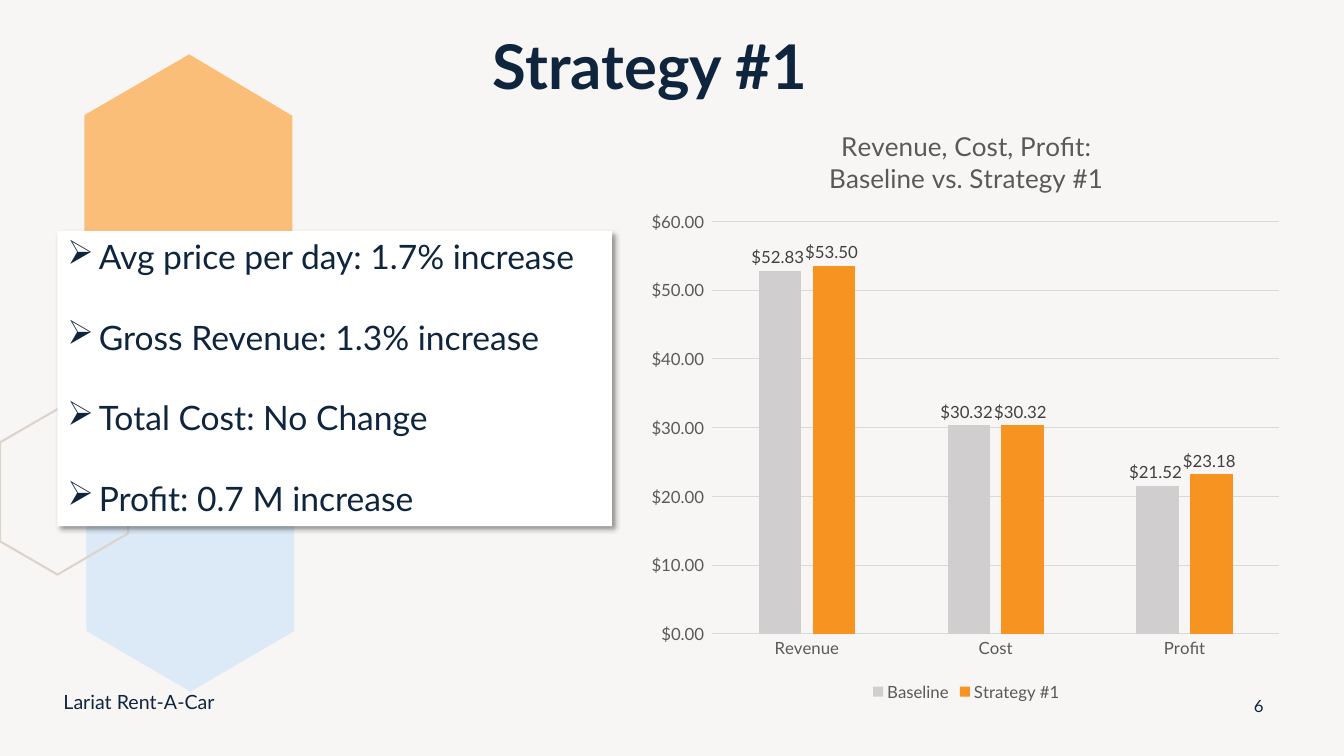
from dataclasses import dataclass

import lxml.etree
import pptx
import pptx.chart.data
import pptx.dml.color
import pptx.enum.chart
import pptx.enum.shapes
import pptx.enum.text
import pptx.oxml
import pptx.oxml.ns
import pptx.util
from pptx.util import Cm

ANCHOR = pptx.enum.text.MSO_ANCHOR
ALIGN = pptx.enum.text.PP_ALIGN
PRICE_FORMAT = '"$"#,##0.00_);[Red]\\("$"#,##0.00\\)'


@dataclass(frozen=True)
class Theme:
    font: str = "Lato"
    background: str = "F8F6F5"
    navy: str = "0F253E"
    white: str = "FFFFFF"
    peach: str = "FABE79"
    pale_blue: str = "DCE9F7"
    sand: str = "DCD3CC"
    gray_bar: str = "D0CECE"
    orange_bar: str = "F79320"
    chart_text: str = "595959"
    label_text: str = "404040"
    grid: str = "D9D9D9"
    title_size: float = 44
    body_size: float = 24
    chart_title_size: float = 18.6
    footer_size: float = 14
    small_size: float = 12


@dataclass(frozen=True)
class Hexagon:
    left: float
    top: float
    corners: tuple[tuple[float, float], ...]
    fill: str | None = None
    line: str | None = None


@dataclass(frozen=True)
class Caption:
    text: str
    box: tuple[float, float, float, float]
    size: float
    bold: bool = False
    align: ALIGN = ALIGN.LEFT
    anchor: ANCHOR = ANCHOR.TOP
    line_spacing: float = 1.0


THEME = Theme()
TALL_CORNERS = ((2.64, 0), (0, 1.53), (0, 4.62), (2.62, 6.15), (5.24, 4.62), (5.24, 1.55))
CUT_CORNERS = ((1.45, 0), (3.23, 1.04), (3.23, 3.13), (1.45, 4.17), (0, 3.33), (0, 0.84))
HEXAGONS = (
    Hexagon(2.13, 1.37, TALL_CORNERS, fill=THEME.peach),
    Hexagon(2.18, 11.28, TALL_CORNERS, fill=THEME.pale_blue),
    Hexagon(0, 10.31, CUT_CORNERS, line=THEME.sand),
)
CAPTIONS = (
    Caption("6", (31.09, 17.27, 1.27, 1.02), THEME.small_size,
            align=ALIGN.CENTER, anchor=ANCHOR.MIDDLE),
    Caption("Strategy #1", (12.17, -0.38, 15.54, 3.1), THEME.title_size,
            bold=True, anchor=ANCHOR.BOTTOM, line_spacing=0.9),
    Caption("Lariat Rent-A-Car", (1.35, 17.27, 11.43, 1.02), THEME.footer_size),
)
FINDINGS = (
    "Avg price per day: 1.7% increase",
    "Gross Revenue: 1.3% increase",
    "Total Cost: No Change",
    "Profit: 0.7 M increase",
)
CATEGORIES = ("Revenue", "Cost", "Profit")
SERIES = (
    ("Baseline", (52.83, 30.32, 21.52), THEME.gray_bar),
    ("Strategy #1", (53.5, 30.32, 23.18), THEME.orange_bar),
)


def rgb(value: str) -> pptx.dml.color.RGBColor:
    return pptx.dml.color.RGBColor.from_string(value)


def style_font(font, size: float, color: str, bold: bool = False) -> None:
    font.name = THEME.font
    font.size = pptx.util.Pt(size)
    font.bold = bold
    font.color.rgb = rgb(color)


def add_hexagon(slide, hexagon: Hexagon) -> None:
    points = [(Cm(hexagon.left + x), Cm(hexagon.top + y)) for x, y in hexagon.corners]
    builder = slide.shapes.build_freeform(*points[0], scale=1.0)
    builder.add_line_segments(points[1:], close=True)
    shape = builder.convert_to_shape()
    shape.shadow.inherit = False
    if hexagon.fill:
        shape.fill.solid()
        shape.fill.fore_color.rgb = rgb(hexagon.fill)
    else:
        shape.fill.background()
    if hexagon.line:
        shape.line.color.rgb = rgb(hexagon.line)
        shape.line.width = pptx.util.Pt(1.5)
    else:
        shape.line.fill.background()


def add_caption(slide, caption: Caption) -> None:
    text_frame = slide.shapes.add_textbox(*map(Cm, caption.box)).text_frame
    text_frame.word_wrap = True
    text_frame.vertical_anchor = caption.anchor
    text_frame.text = caption.text
    paragraph = text_frame.paragraphs[0]
    paragraph.alignment = caption.align
    paragraph.line_spacing = caption.line_spacing
    style_font(paragraph.runs[0].font, caption.size, THEME.navy, caption.bold)


def add_bullet(paragraph) -> None:
    properties = paragraph._p.get_or_add_pPr()
    properties.set("marL", str(Cm(0.79)))
    properties.set("indent", str(-Cm(0.79)))
    bullet = lxml.etree.SubElement(properties, pptx.oxml.ns.qn("a:buChar"))
    bullet.set("char", "➢")


def add_findings(slide) -> None:
    shape = slide.shapes.add_shape(
        pptx.enum.shapes.MSO_SHAPE.RECTANGLE, Cm(1.45), Cm(5.82), Cm(13.97), Cm(7.44))
    shape.fill.solid()
    shape.fill.fore_color.rgb = rgb(THEME.white)
    shape.line.fill.background()
    # Soft shadow towards the lower right
    shape.shadow.inherit = False
    effects = shape._element.spPr.find(pptx.oxml.ns.qn("a:effectLst"))
    effects.append(pptx.oxml.parse_xml(
        f'<a:outerShdw {pptx.oxml.ns.nsdecls("a")} blurRad="50800" dist="38100" dir="2700000" '
        'algn="tl" rotWithShape="0"><a:srgbClr val="000000"><a:alpha val="40000"/>'
        '</a:srgbClr></a:outerShdw>'))
    text_frame = shape.text_frame
    text_frame.word_wrap = True
    text_frame.vertical_anchor = ANCHOR.TOP
    text_frame.text = "\n".join(FINDINGS)
    for index, paragraph in enumerate(text_frame.paragraphs):
        add_bullet(paragraph)
        paragraph.alignment = ALIGN.LEFT
        if index:
            paragraph.space_before = pptx.util.Pt(28.8)
        style_font(paragraph.runs[0].font, THEME.body_size, THEME.navy)


def place_plot(chart) -> None:
    settings = "".join(f'<c:{name} val="{value}"/>' for name, value in (
        ("layoutTarget", "inner"), ("xMode", "edge"), ("yMode", "edge"),
        ("x", 0.11), ("y", 0.19), ("w", 0.87), ("h", 0.69)))
    layout = pptx.oxml.parse_xml(
        f'<c:layout {pptx.oxml.ns.nsdecls("c")}><c:manualLayout>{settings}'
        '</c:manualLayout></c:layout>')
    plot_area = chart._chartSpace.chart.plotArea
    for old_layout in plot_area.findall(pptx.oxml.ns.qn("c:layout")):
        plot_area.remove(old_layout)
    plot_area.insert(0, layout)


def add_comparison_chart(slide) -> None:
    data = pptx.chart.data.CategoryChartData(number_format=PRICE_FORMAT)
    data.categories = CATEGORIES
    for name, values, _ in SERIES:
        data.add_series(name, values)
    chart = slide.shapes.add_chart(
        pptx.enum.chart.XL_CHART_TYPE.COLUMN_CLUSTERED,
        Cm(16.15), Cm(2.72), Cm(16.41), Cm(15.06), data).chart
    style_font(chart.font, THEME.small_size, THEME.chart_text)
    place_plot(chart)

    # Title and legend
    chart.has_title = True
    title_frame = chart.chart_title.text_frame
    title_frame.text = "Revenue, Cost, Profit:\nBaseline vs. Strategy #1"
    for paragraph in title_frame.paragraphs:
        style_font(paragraph.runs[0].font, THEME.chart_title_size, THEME.chart_text)
    chart.has_legend = True
    chart.legend.position = pptx.enum.chart.XL_LEGEND_POSITION.BOTTOM
    chart.legend.include_in_layout = False
    style_font(chart.legend.font, THEME.small_size, THEME.chart_text)

    # Axes
    for axis in (chart.category_axis, chart.value_axis):
        axis.major_tick_mark = pptx.enum.chart.XL_TICK_MARK.NONE
        style_font(axis.tick_labels.font, THEME.small_size, THEME.chart_text)
    value_axis = chart.value_axis
    value_axis.minimum_scale, value_axis.maximum_scale, value_axis.major_unit = 0, 60, 10
    value_axis.tick_labels.number_format = PRICE_FORMAT
    value_axis.tick_labels.number_format_is_linked = False
    value_axis.format.line.fill.background()
    for line in (chart.category_axis.format.line, value_axis.major_gridlines.format.line):
        line.color.rgb = rgb(THEME.grid)
        line.width = pptx.util.Pt(0.75)

    # Columns and their values
    plot = chart.plots[0]
    plot.vary_by_categories = False
    plot.gap_width, plot.overlap = 219, -27
    for series, (_, _, color) in zip(plot.series, SERIES):
        series.format.fill.solid()
        series.format.fill.fore_color.rgb = rgb(color)
        labels = series.data_labels
        labels.show_value = True
        labels.position = pptx.enum.chart.XL_LABEL_POSITION.OUTSIDE_END
        labels.number_format = PRICE_FORMAT
        labels.number_format_is_linked = False
        style_font(labels.font, THEME.small_size, THEME.label_text)


def main() -> None:
    presentation = pptx.Presentation()
    presentation.slide_width, presentation.slide_height = Cm(33.87), Cm(19.05)
    slide = presentation.slides.add_slide(presentation.slide_layouts[6])
    slide.background.fill.solid()
    slide.background.fill.fore_color.rgb = rgb(THEME.background)
    for hexagon in HEXAGONS:
        add_hexagon(slide, hexagon)
    add_comparison_chart(slide)
    add_findings(slide)
    for caption in CAPTIONS:
        add_caption(slide, caption)
    presentation.save("out.pptx")


if __name__ == "__main__":
    main()
